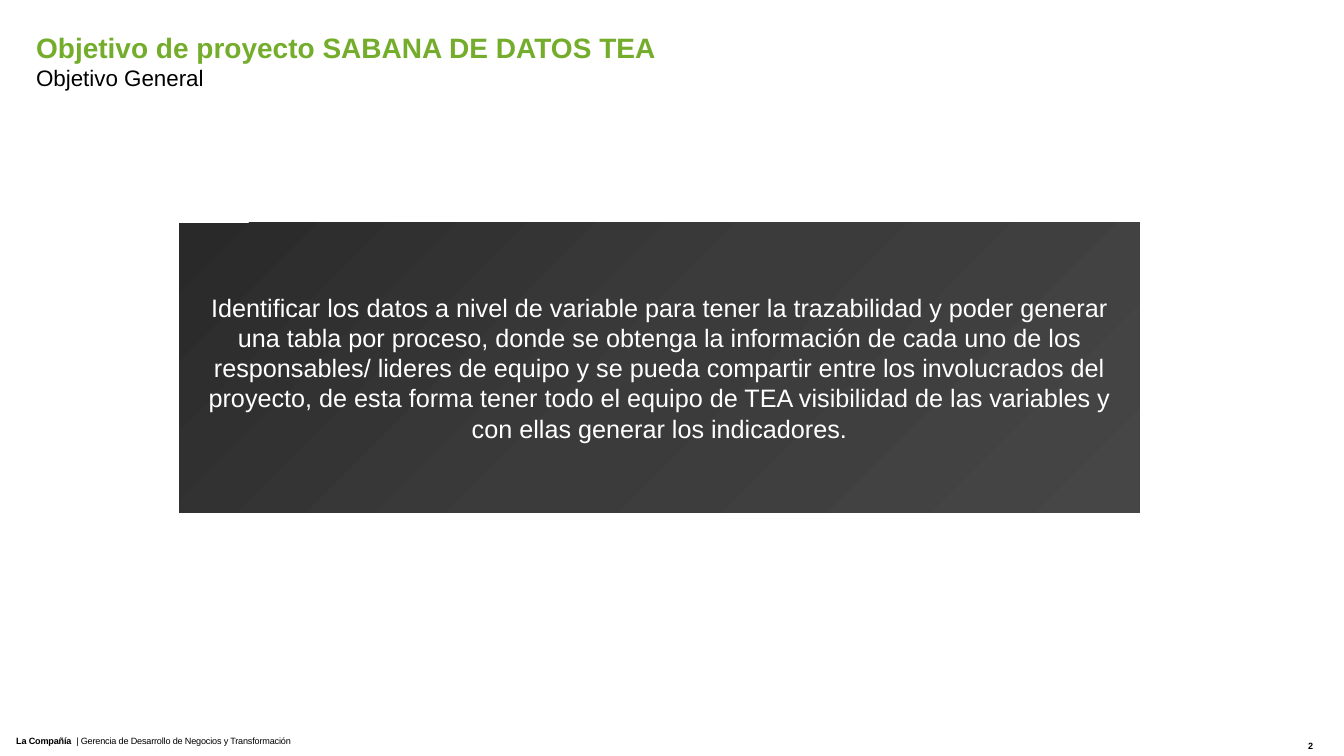
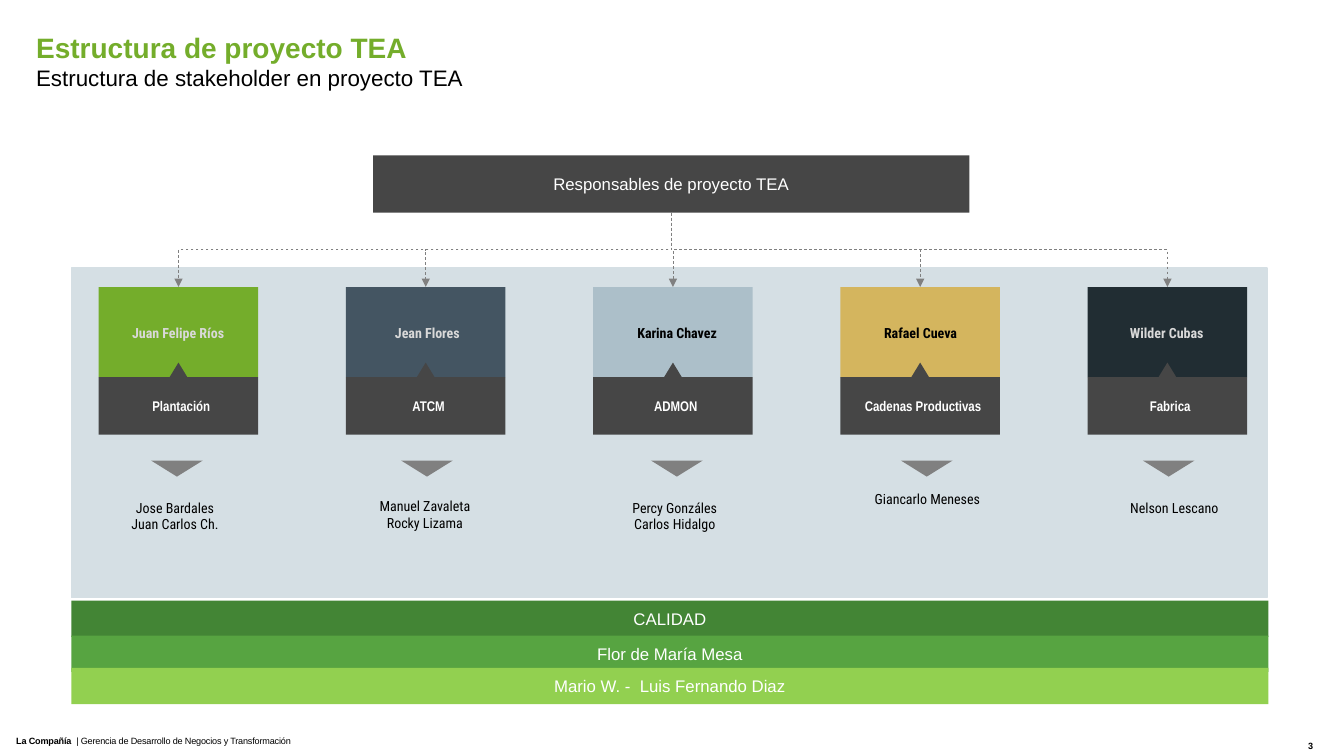
from copy import deepcopy

from pptx import Presentation
from pptx.dml.color import RGBColor
from pptx.enum.dml import MSO_LINE
from pptx.enum.shapes import MSO_CONNECTOR, MSO_SHAPE
from pptx.enum.text import MSO_ANCHOR, PP_ALIGN
from pptx.oxml.ns import qn
from pptx.util import Pt

BLACK = RGBColor(0x00, 0x00, 0x00)
WHITE = RGBColor(0xFF, 0xFF, 0xFF)
LIGHT = RGBColor(0xD9, 0xD9, 0xD9)
GRAY = RGBColor(0x80, 0x80, 0x80)
CHARCOAL = RGBColor(0x46, 0x46, 0x46)
MID_CHARCOAL = RGBColor(0x3B, 0x3B, 0x3B)
DARK_CHARCOAL = RGBColor(0x29, 0x29, 0x29)
GREEN = RGBColor(0x74, 0xAD, 0x2B)
SLATE = RGBColor(0x44, 0x55, 0x62)
MIST = RGBColor(0xAC, 0xBF, 0xC9)
GOLD = RGBColor(0xD4, 0xB5, 0x5E)
NAVY = RGBColor(0x21, 0x2D, 0x33)
PANEL = RGBColor(0xD5, 0xDF, 0xE4)
DEEP_GREEN = RGBColor(0x43, 0x85, 0x35)
LEAF_GREEN = RGBColor(0x57, 0xA4, 0x41)
LIME = RGBColor(0x92, 0xD0, 0x50)


def add_block(page, kind, left, top, width, height, fill):
    block = page.shapes.add_shape(kind, Pt(left), Pt(top), Pt(width), Pt(height))
    block.shadow.inherit = False
    block.fill.solid()
    block.fill.fore_color.rgb = fill
    block.line.fill.background()
    return block


def write(box, lines, size, color, face="Arial", bold=False,
          align=PP_ALIGN.CENTER, anchor=MSO_ANCHOR.MIDDLE):
    frame = box.text_frame
    frame.word_wrap = True
    frame.vertical_anchor = anchor
    frame.text = "\n".join(lines)
    for para in frame.paragraphs:
        para.alignment = align
        para.font.name = face
        para.font.size = Pt(size)
        para.font.color.rgb = color
        para.font.bold = bold
    return frame


deck = Presentation()
deck.slide_width = Pt(960)
deck.slide_height = Pt(540)

titles = [
    ("Objetivo de proyecto SABANA DE DATOS TEA", "Objetivo General"),
    ("Estructura de proyecto TEA", "Estructura de stakeholder en proyecto TEA"),
]
pages = []
for number, (title, subtitle) in enumerate(titles, start=2):
    page = deck.slides.add_slide(deck.slide_layouts[6])
    pages.append(page)

    heading = page.shapes.add_textbox(Pt(18.7), Pt(18), Pt(716), Pt(51))
    frame = write(heading, [title, subtitle], 16, BLACK,
                  align=PP_ALIGN.LEFT, anchor=MSO_ANCHOR.TOP)
    frame.paragraphs[0].font.size = Pt(20)
    frame.paragraphs[0].font.bold = True
    frame.paragraphs[0].font.color.rgb = GREEN

    footer = page.shapes.add_textbox(Pt(8.6), Pt(525), Pt(377), Pt(8))
    frame = write(footer, ["La Compañía  "], 6.5, BLACK,
                  align=PP_ALIGN.LEFT, anchor=MSO_ANCHOR.TOP)
    frame.margin_left = Pt(3)
    frame.margin_right = frame.margin_top = frame.margin_bottom = 0
    para = frame.paragraphs[0]
    para.runs[0].font.bold = True
    para.add_run().text = "| Gerencia de Desarrollo de Negocios y Transformación"

    counter = add_block(page, MSO_SHAPE.RECTANGLE, 924.5, 525, 35.5, 14.5, WHITE)
    frame = write(counter, [str(number)], 6.5, BLACK, bold=True,
                  align=PP_ALIGN.LEFT, anchor=MSO_ANCHOR.TOP)
    frame.margin_left = Pt(10)
    for small in (footer, counter):
        para = small.text_frame.paragraphs[0]
        para.space_before = Pt(1)
        for span in para.runs:
            span.font._element.set("spc", "-10")

goal_page, team_page = pages

goal = add_block(goal_page, MSO_SHAPE.RECTANGLE, 128, 159, 686, 207, CHARCOAL)
goal.fill.gradient()
goal.fill.gradient_angle = 315
stop_list = goal._element.spPr.find(qn("a:gradFill")).find(qn("a:gsLst"))
stop_list.insert(1, deepcopy(stop_list[0]))
shades = [DARK_CHARCOAL, MID_CHARCOAL, CHARCOAL]
for index, (stop, shade) in enumerate(zip(goal.fill.gradient_stops, shades)):
    stop.position = index / 2
    stop.color.rgb = shade
write(goal, [
    "Identificar los datos a nivel de variable para tener la trazabilidad y poder "
    "generar una tabla por proceso, donde se obtenga la información de cada uno de "
    "los responsables/ lideres de equipo y se pueda compartir entre los involucrados "
    "del proyecto, de esta forma tener todo el equipo de TEA visibilidad de las "
    "variables y con ellas generar los indicadores."
], 18, WHITE)

panel = add_block(team_page, MSO_SHAPE.RECTANGLE, 51, 191.5, 854, 235.5, PANEL)
panel.line.color.rgb = PANEL
panel.line.width = Pt(1)

lead = add_block(team_page, MSO_SHAPE.RECTANGLE, 266.5, 111, 426, 41, CHARCOAL)
write(lead, ["Responsables de proyecto TEA"], 12, WHITE)

CARD_LEFT, CARD_TOP, CARD_WIDTH, CARD_STEP = 70.5, 205, 114, 176.6
ROLE_TOP, ROLE_HEIGHT = 269.5, 41
STEM_X, STEM_TOP = 479.5, 152
DROP = CARD_TOP - STEM_TOP

members = [
    ("Juan Felipe Ríos", LIGHT, GREEN, "Plantación", 126.4, 125, 353,
     ["Jose Bardales", "Juan Carlos Ch."]),
    ("Jean Flores", LIGHT, SLATE, "ATCM", 305, 303.5, 352,
     ["Manuel Zavaleta", "Rocky Lizama"]),
    ("Karina Chavez", BLACK, MIST, "ADMON", 483.5, 482, 353,
     ["Percy Gonzáles", "Carlos Hidalgo"]),
    ("Rafael Cueva", BLACK, GOLD, "Cadenas Productivas", 662, 662.4, 347,
     ["Giancarlo Meneses"]),
    ("Wilder Cubas", LIGHT, NAVY, "Fabrica", 834.8, 838.8, 353,
     ["Nelson Lescano"]),
]
name_centers = [127.2, 305.2, 483.6, 657.5, 833.4]

for column, member in enumerate(members):
    name, name_color, fill, role, arrow_x, team_x, team_top, team = member
    left = CARD_LEFT + column * CARD_STEP
    center = left + CARD_WIDTH / 2

    add_block(team_page, MSO_SHAPE.RECTANGLE, left, CARD_TOP, CARD_WIDTH,
              ROLE_TOP - CARD_TOP, fill)
    role_box = add_block(team_page, MSO_SHAPE.RECTANGLE, left, ROLE_TOP,
                         CARD_WIDTH, ROLE_HEIGHT, CHARCOAL)
    frame = write(role_box, [role], 10, WHITE, face="Arial Narrow", bold=True)
    frame.margin_left, frame.margin_right = Pt(6), Pt(2)
    add_block(team_page, MSO_SHAPE.ISOSCELES_TRIANGLE, center - 7, 259, 14, 11.5, CHARCOAL)

    name_box = team_page.shapes.add_textbox(
        Pt(name_centers[column] - 55), Pt(228), Pt(110), Pt(19.5))
    write(name_box, [name], 10, name_color, face="Roboto Condensed", bold=True)

    arrow = add_block(team_page, MSO_SHAPE.ISOSCELES_TRIANGLE,
                      arrow_x - 18.5, 329, 37, 11.5, GRAY)
    arrow._element.spPr.xfrm.set("flipV", "1")
    team_box = team_page.shapes.add_textbox(
        Pt(team_x - 65), Pt(team_top), Pt(130), Pt(7.5 + 12 * len(team)))
    write(team_box, team, 10, BLACK, face="Roboto Condensed", anchor=MSO_ANCHOR.TOP)

    middle_x, middle_y = (STEM_X + center) / 2, STEM_TOP + DROP / 2
    half = (center - STEM_X) / 2
    branch = team_page.shapes.add_connector(
        MSO_CONNECTOR.ELBOW,
        Pt(middle_x - DROP / 2), Pt(middle_y + half),
        Pt(middle_x + DROP / 2), Pt(middle_y - half))
    branch.line.color.rgb = GRAY
    branch.line.width = Pt(0.5)
    branch.line.dash_style = MSO_LINE.DASH
    properties = branch._element.spPr
    properties.xfrm.set("rot", "5400000")
    outline = properties.find(qn("a:ln"))
    outline.append(outline.makeelement(qn("a:tailEnd"), {"type": "triangle"}))
    properties.append(properties.makeelement(qn("a:effectLst"), {}))

bars = [
    ("CALIDAD", DEEP_GREEN, 429),
    ("Flor de María Mesa", LEAF_GREEN, 454),
    ("Mario W. -  Luis Fernando Diaz", LIME, 477),
]
for caption, fill, top in bars:
    bar = add_block(team_page, MSO_SHAPE.RECTANGLE, 51, top, 855, 26, fill)
    write(bar, [caption], 12, WHITE)

deck.save("out.pptx")
